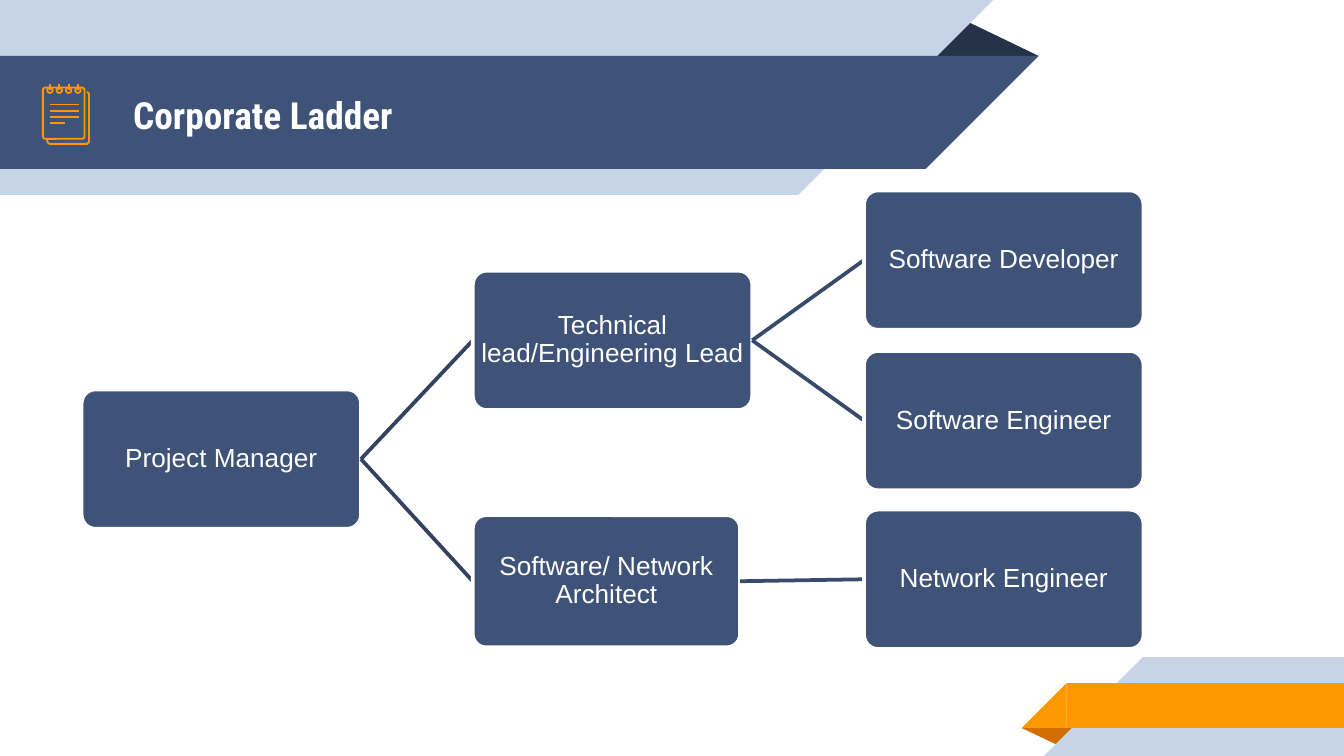
from collections import namedtuple
from dataclasses import dataclass

from pptx import Presentation
from pptx.dml.color import RGBColor as RGB
from pptx.enum.shapes import MSO_CONNECTOR as CONN, MSO_SHAPE as SHAPE
from pptx.enum.text import MSO_ANCHOR as ANCHOR, PP_ALIGN as ALIGN
from pptx.oxml.ns import qn
from pptx.util import Pt
from lxml.etree import SubElement

Box = namedtuple("Box", "x y w h")
Node = namedtuple("Node", "text box children", defaults=((),))


@dataclass(frozen=True)
class Theme:
    navy: RGB = RGB.from_string("3F5378")
    shade: RGB = RGB.from_string("263248")
    pale: RGB = RGB.from_string("C7D3E6")
    orange: RGB = RGB.from_string("FF9800")
    rust: RGB = RGB.from_string("D26F00")
    white: RGB = RGB.from_string("FFFFFF")
    links: tuple = (RGB.from_string("324260"), RGB.from_string("394B6D"))
    title_font: str = "Roboto Condensed"
    body_font: str = "Arial"
    title_size: float = 20
    body_size: float = 14
    link_width: float = 2
    icon_width: float = 1


THEME = Theme()


def pts(*values):
    return [Pt(v) for v in values]


def paint(sp, fill=None, line=None, width=1):
    sp.shadow.inherit = False
    if fill is None:
        sp.fill.background()
    else:
        sp.fill.solid()
        sp.fill.fore_color.rgb = fill
    if line is None:
        sp.line.fill.background()
    else:
        sp.line.color.rgb = line
        sp.line.width = Pt(width)


def add_preset(shapes, kind, box, adjust=None, rotation=0, **look):
    sp = shapes.add_shape(kind, *pts(*box))
    sp.rotation = rotation
    if adjust is not None:
        sp.adjustments[0] = adjust
    paint(sp, **look)
    return sp


def add_path(shapes, points, **look):
    start, *rest = [pts(*point) for point in points]
    builder = shapes.build_freeform(*start)
    builder.add_line_segments(rest, close=False)
    paint(builder.convert_to_shape(), **look)


def add_line(shapes, start, end, color, width):
    line = shapes.add_connector(CONN.STRAIGHT, *pts(*start, *end))
    line.line.color.rgb = color
    line.line.width = Pt(width)
    SubElement(line._element.spPr, qn("a:effectLst"))


def style_text(tf, text, align, inset, **font):
    tf.word_wrap = True
    tf.vertical_anchor = ANCHOR.MIDDLE
    for side in ("left", "top", "right", "bottom"):
        setattr(tf, f"margin_{side}", Pt(inset))
    p = tf.paragraphs[0]
    p.alignment = align
    r = p.add_run()
    r.text = text
    r.font.color.rgb = THEME.white
    for name, value in font.items():
        setattr(r.font, name, value)
    return p


def add_band(s, box, color, slope_right):
    """Band with one end cut at 45 degrees: the right end or the left."""
    x, y, w, h = box
    body_x, cut_x, turn = (x, x + w - h, 90) if slope_right else (x + h, x, 270)
    add_preset(s.shapes, SHAPE.RECTANGLE, (body_x, y, w - h, h), fill=color)
    add_preset(s.shapes, SHAPE.RIGHT_TRIANGLE, (cut_x, y, h, h),
               rotation=turn, fill=color)


def add_header(s, box):
    x, y, w, h = box
    add_preset(s.shapes, SHAPE.ISOSCELES_TRIANGLE, (x + w - 61, y + 10, 61, 20),
               adjust=0.32, fill=THEME.shade)
    add_band(s, Box(x, y, w - 24.5, h), THEME.pale, True)
    add_band(s, Box(x, y + 30, w, 60.5), THEME.navy, True)


def add_footer(s, box):
    x, y, w, h = box
    add_preset(s.shapes, SHAPE.ISOSCELES_TRIANGLE, (x, y + 38, 31, 10),
               adjust=0.32, rotation=180, fill=THEME.rust)
    add_band(s, Box(x + 12, y, w - 12, h), THEME.pale, False)
    add_band(s, Box(x, y + 14, w, 24), THEME.orange, False)


def add_title(s, box, text):
    title = s.shapes.title
    s.shapes._spTree.append(title._element)  # in front of the header bands
    title.left, title.top, title.width, title.height = pts(*box)
    style_text(title.text_frame, text, ALIGN.LEFT, 7.2, bold=True,
               name=THEME.title_font, size=Pt(THEME.title_size))


def add_notepad(s, box):
    x, y, w, h = box
    shapes = s.shapes.add_group_shape().shapes
    stroke = dict(line=THEME.orange, width=THEME.icon_width)
    right, bottom = x + w, y + h
    sheet_y = y + 1.7
    add_path(shapes, [(x + 2.3, bottom - 2), (x + 2.5, bottom - 0.8),
                      (x + 3.6, bottom), (right - 1, bottom), (right, bottom - 1),
                      (right, y + 5), (right - 1, y + 4)], **stroke)
    add_preset(shapes, SHAPE.ROUNDED_RECTANGLE, (x, sheet_y, w - 2.4, h - 4.4),
               adjust=0.06, **stroke)
    for i in range(4):
        cx = x + 3.8 + 5 * i
        add_preset(shapes, SHAPE.OVAL, (cx - 1.45, sheet_y, 2.9, 2.9), **stroke)
        add_line(shapes, (cx, y), (cx, y + 2.9), THEME.orange, THEME.icon_width)
    for i, length in enumerate((15.3, 15.3, 15.3, 8)):
        row = y + 10.8 + 3.3 * i
        add_line(shapes, (x + 3.8, row), (x + 3.8 + length, row),
                 THEME.orange, THEME.icon_width)


def add_tree(s, node, depth=0):
    """Draw a role, then each link and the branch it leads to."""
    x, y, w, h = node.box
    sp = add_preset(s.shapes, SHAPE.ROUNDED_RECTANGLE, node.box, adjust=0.1,
                    fill=THEME.navy, line=THEME.white, width=THEME.link_width)
    p = style_text(sp.text_frame, node.text, ALIGN.CENTER, 0.5,
                   name=THEME.body_font, size=Pt(THEME.body_size))
    p.line_spacing = 0.9
    for child in node.children:
        b = child.box
        add_line(s.shapes, (x + w, y + h / 2), (b.x, b.y + b.h / 2),
                 THEME.links[depth], THEME.link_width)
        add_tree(s, child, depth + 1)


def role(text, column, y, *children, w=149.7, h=74.7):
    return Node(text, Box(43.7 + 209.6 * column, y, w, h), children)


def main():
    prs = Presentation()
    prs.slide_width, prs.slide_height = pts(720, 405)
    s = prs.slides.add_slide(prs.slide_layouts[5])
    add_header(s, Box(0, 0, 556.5, 104.4))
    add_footer(s, Box(547.3, 352, 172.7, 53))
    add_title(s, Box(64.1, 31, 478, 60.5), "Corporate Ladder")
    add_notepad(s, Box(23, 45.2, 24.7, 31.9))
    add_tree(s, role(
        "Project Manager", 0, 208.6,
        role("Technical lead/Engineering Lead", 1, 145,
             role("Software Developer", 2, 102),
             role("Software Engineer", 2, 188)),
        role("Software/ Network Architect", 1, 276,
             role("Network Engineer", 2, 273), w=143.2, h=70.8)))
    prs.save("out.pptx")


if __name__ == "__main__":
    main()
